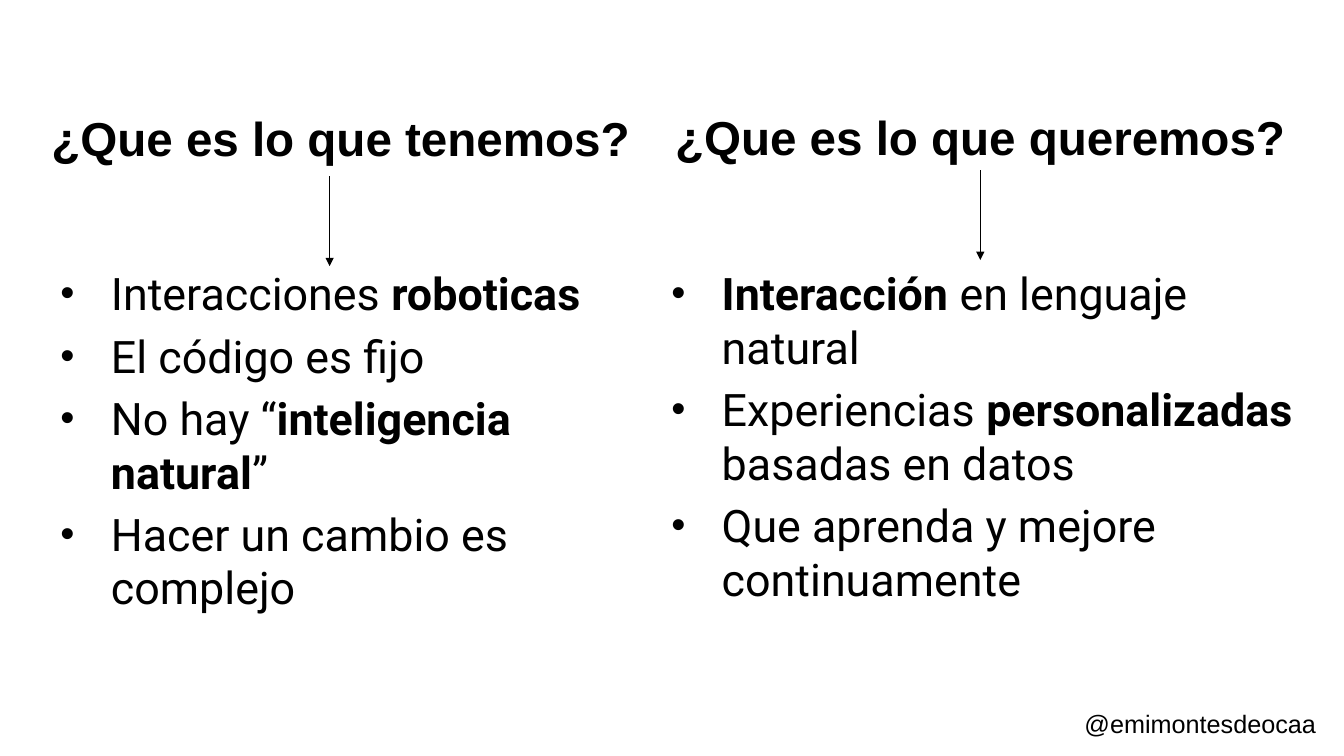
from dataclasses import dataclass

from lxml import etree
from pptx import Presentation
from pptx import util as u
from pptx.dml.color import RGBColor
from pptx.enum import shapes, text
from pptx.oxml import ns

COLORS = {"background": "FFFFFF", "ink": "000000"}
SLIDE_WIDTH, SLIDE_HEIGHT = u.Inches(13.33), u.Inches(7.5)
LIST_TOP, LIST_HEIGHT = 34.53, 39.6
HEADING_HEIGHT = 8.13
ARROW_LENGTH = 11.87

Run = tuple[str, bool]


@dataclass(frozen=True)
class Box:
    """Area in hundredths of the slide's width and height."""
    left: float
    top: float
    width: float
    height: float


@dataclass(frozen=True)
class Column:
    question: str
    heading: Box
    answers: Box
    items: list[list[Run]]
    arrow_start: tuple[float, float] | None = None  # None: heading's bottom middle


COLUMNS = [
    Column(
        "¿Que es lo que tenemos?",
        Box(1.43, 14.53, 47.85, HEADING_HEIGHT),
        Box(3.75, LIST_TOP, 41.55, LIST_HEIGHT),
        [
            [("Interacciones ", False), ("roboticas", True)],
            [("El código es fijo", False)],
            [("No hay “", False), ("inteligencia natural", True), ("”", False)],
            [("Hacer un cambio es complejo", False)],
        ],
        arrow_start=(24.53, 23.33),
    ),
    Column(
        "¿Que es lo que queremos?",
        Box(48.45, 14.4, 48.98, HEADING_HEIGHT),
        Box(49.2, LIST_TOP, 48.23, LIST_HEIGHT),
        [
            [("Interacción ", True), ("en lenguaje natural", False)],
            [("Experiencias ", False), ("personalizadas ", True), ("basadas en datos", False)],
            [("Que aprenda y mejore continuamente", False)],
        ],
    ),
]
HANDLE = Box(79.95, 93.07, 18.9, 5.33)


def across(share: float) -> int:
    return round(SLIDE_WIDTH * share / 100)


def down(share: float) -> int:
    return round(SLIDE_HEIGHT * share / 100)


def place(shape, box: Box) -> None:
    shape.left, shape.top = across(box.left), down(box.top)
    shape.width, shape.height = across(box.width), down(box.height)


def set_font(paragraph, name: str, size: int) -> None:
    paragraph.font.name = name
    paragraph.font.size = u.Pt(size)
    paragraph.font.color.rgb = RGBColor.from_string(COLORS["ink"])


def add_bullet(paragraph) -> None:
    properties = paragraph._p.get_or_add_pPr()
    properties.set("marL", str(u.Inches(0.5)))
    properties.set("indent", str(u.Inches(-0.5)))
    for tag, attribute, value in (
        ("a:buSzPct", "val", "90000"),
        ("a:buFont", "typeface", "Arial"),
        ("a:buChar", "char", "•"),
    ):
        etree.SubElement(properties, ns.qn(tag)).set(attribute, value)


def fill_heading(heading, column: Column) -> None:
    place(heading, column.heading)
    frame = heading.text_frame
    frame.auto_size = text.MSO_AUTO_SIZE.NONE
    frame.vertical_anchor = text.MSO_ANCHOR.MIDDLE
    frame.text = column.question
    paragraph = frame.paragraphs[0]
    paragraph.alignment = text.PP_ALIGN.CENTER
    paragraph.line_spacing = 0.9
    paragraph.space_before = u.Pt(0)
    set_font(paragraph, "Arial", 34)
    paragraph.font.bold = True


def fill_answers(answers, column: Column) -> None:
    place(answers, column.answers)
    frame = answers.text_frame
    frame.auto_size = text.MSO_AUTO_SIZE.NONE
    frame.vertical_anchor = text.MSO_ANCHOR.TOP
    for index, item in enumerate(column.items):
        paragraph = frame.add_paragraph() if index else frame.paragraphs[0]
        paragraph.level = 1
        paragraph.line_spacing = 1.0
        paragraph.space_before = u.Pt(0)
        paragraph.space_after = u.Pt(6)
        add_bullet(paragraph)
        set_font(paragraph, "Roboto", 32)
        for words, bold in item:
            run = paragraph.add_run()
            run.text = words
            run.font.bold = bold


def add_arrow(slide, column: Column, heading) -> None:
    box = column.heading
    x, y = column.arrow_start or (box.left + box.width / 2, box.top + box.height)
    arrow = slide.shapes.add_connector(
        shapes.MSO_CONNECTOR.STRAIGHT, across(x), down(y), across(x), down(y + ARROW_LENGTH)
    )
    if column.arrow_start is None:
        arrow.begin_connect(heading, 2)
    arrow.line.color.rgb = RGBColor.from_string(COLORS["ink"])
    arrow.line.width = u.Pt(0.5)
    etree.SubElement(arrow.line._get_or_add_ln(), ns.qn("a:tailEnd")).set("type", "triangle")
    etree.SubElement(arrow._element.spPr, ns.qn("a:effectLst"))


def add_handle(slide) -> None:
    handle = slide.shapes.add_textbox(0, 0, 0, 0)
    place(handle, HANDLE)
    handle.text_frame.word_wrap = False
    handle.text_frame.auto_size = text.MSO_AUTO_SIZE.SHAPE_TO_FIT_TEXT
    handle.text_frame.text = "@emimontesdeocaa"
    set_font(handle.text_frame.paragraphs[0], "Arial", 18)


def main() -> None:
    deck = Presentation()
    deck.slide_width, deck.slide_height = SLIDE_WIDTH, SLIDE_HEIGHT
    slide = deck.slides.add_slide(deck.slide_layouts.get_by_name("Comparison"))
    slide.background.fill.solid()
    slide.background.fill.fore_color.rgb = RGBColor.from_string(COLORS["background"])

    unused_title = slide.shapes.title._element
    unused_title.getparent().remove(unused_title)

    bodies = list(slide.placeholders)
    for column, heading, answers in zip(COLUMNS, bodies[::2], bodies[1::2]):
        fill_answers(answers, column)
        fill_heading(heading, column)
        add_arrow(slide, column, heading)
    add_handle(slide)
    deck.save("out.pptx")


if __name__ == "__main__":
    main()
